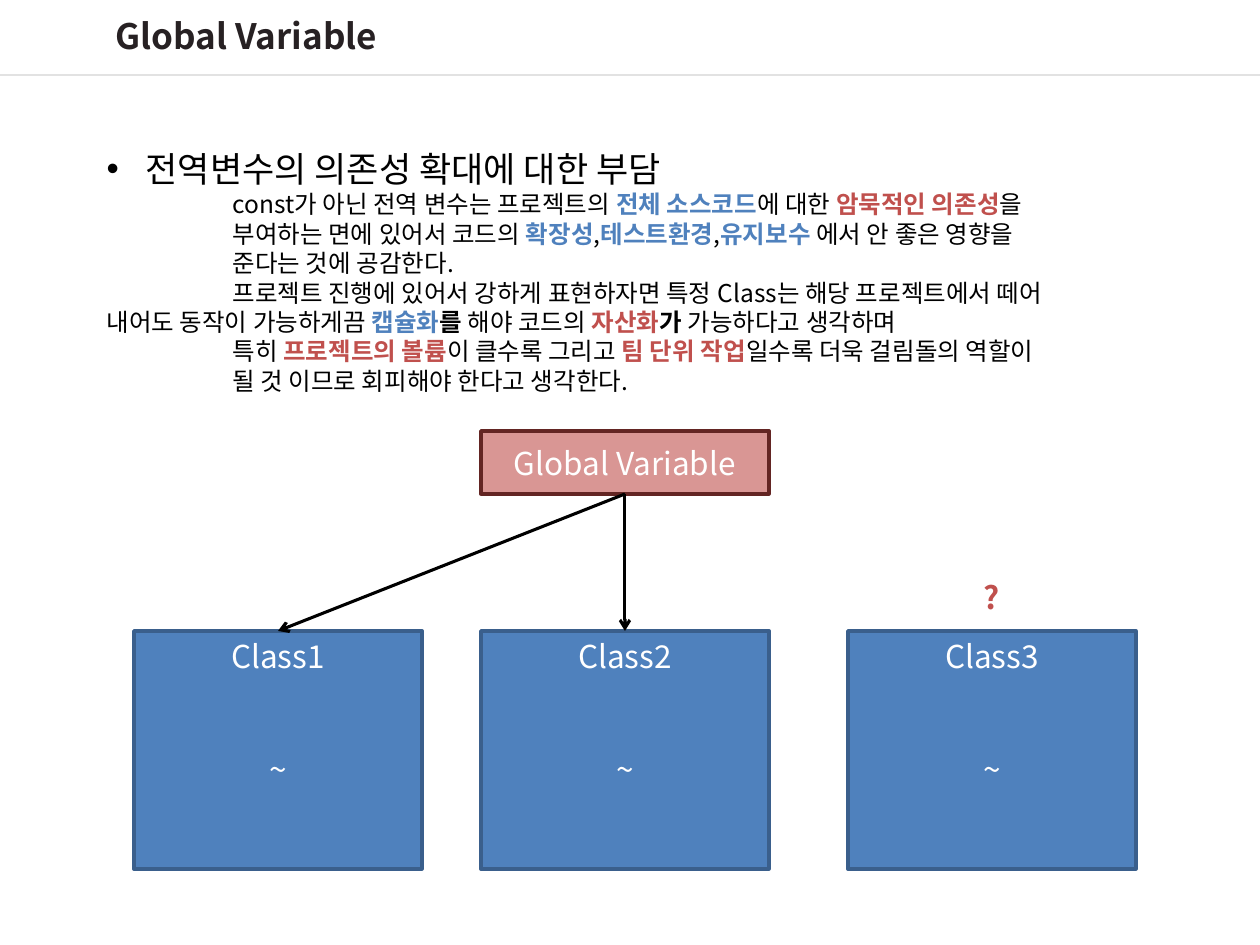
from lxml import etree
from pptx import Presentation
from pptx.dml.color import RGBColor
from pptx.enum.shapes import MSO_CONNECTOR, MSO_SHAPE
from pptx.enum.text import MSO_ANCHOR, MSO_AUTO_SIZE, PP_ALIGN
from pptx.oxml.ns import qn
from pptx.util import Pt

PX = 914400 // 126
FONT = "Noto Sans CJK KR"
LINE, RECT = MSO_CONNECTOR.STRAIGHT, MSO_SHAPE.RECTANGLE
TOP, MIDDLE = MSO_ANCHOR.TOP, MSO_ANCHOR.MIDDLE
CENTER, LEFT = PP_ALIGN.CENTER, PP_ALIGN.LEFT
FIXED = MSO_AUTO_SIZE.NONE
HEX = {
    "title": "272123", "text": "000000", "white": "FFFFFF", "rule": "A6A6A6",
    "blue": "4F81BD", "navy": "3A5F8C", "red": "C0504D",
    "pink": "D99694", "wine": "632523",
}
INK = {key: RGBColor.from_string(val) for key, val in HEX.items()}


def style(para, size, inks, align=LEFT, bold=False):
    """Format a paragraph; inks gives one colour per run."""
    para.alignment = align
    para.line_spacing = Pt(size * 1.2)
    para.space_before = para.space_after = Pt(0)
    for run, ink in zip(para.runs, inks):
        run.font.size = Pt(size)
        run.font.bold = bold or ink in ("blue", "red")
        run.font.color.rgb = INK[ink]
        run.font.name = FONT
        etree.SubElement(run.font._element, qn("a:ea"), typeface=FONT)


def link(start, end, ink, width):
    """Draw a plain line between two points."""
    line = slide.shapes.add_connector(LINE, *[v * PX for v in start + end])
    line.line.color.rgb = INK[ink]
    line.line.width = Pt(width)
    etree.SubElement(line._element.spPr, qn("a:effectLst"))
    return line


prs = Presentation()
prs.slide_width, prs.slide_height = 1260 * PX, 945 * PX
slide = prs.slides.add_slide(prs.slide_layouts[1])
title, body = slide.placeholders

# Header rule, half transparent
rule = link((-74, 75), (1376, 75), "rule", 0.75)
tint = rule._element.spPr.find(".//" + qn("a:srgbClr"))
etree.SubElement(tint, qn("a:alpha"), val="50000")

# Title and body frames
for box, area in ((title, (-30, 8, 553, 55)), (body, (94, 141, 1071, 263))):
    box.left, box.top, box.width, box.height = [v * PX for v in area]
    box.text_frame.auto_size = FIXED
    box.text_frame.vertical_anchor = TOP
title.text_frame.text = "Global Variable"
style(title.text_frame.paragraphs[0], 20, ["title"], CENTER, True)

# Body: each line has a first-line indent and coloured pieces
lines = [
    (126, [("const가 아닌 전역 변수는 프로젝트의 ", "text"), ("전체 소스코드", "blue"),
           ("에 대한 ", "text"), ("암묵적인 의존성", "red"), ("을", "text")]),
    (126, [("부여하는 면에 있어서 코드의 ", "text"), ("확장성", "blue"), (",", "text"),
           ("테스트환경", "blue"), (",", "text"), ("유지보수 ", "blue"),
           ("에서 안 좋은 영향을", "text")]),
    (126, [("준다는 것에 공감한다.", "text")]),
    (126, [("프로젝트 진행에 있어서 강하게 표현하자면 특정 Class는 "
            "해당 프로젝트에서 떼어", "text")]),
    (0, [("내어도 동작이 가능하게끔 ", "text"), ("캡슐화", "blue"), ("를", "text"),
         (" 해야 코드의 ", "text"), ("자산화", "red"), ("가", "text"),
         (" 가능하다고 생각하며", "text")]),
    (126, [("특히 ", "text"), ("프로젝트의 볼륨", "red"), ("이 클수록 그리고 ", "text"),
           ("팀 단위 작업", "red"), ("일수록 더욱 걸림돌의 역할이", "text")]),
    (126, [("될 것 이므로 회피해야 한다고 생각한다.", "text")]),
]
frame = body.text_frame
frame.text = "전역변수의 의존성 확대에 대한 부담"
head = frame.paragraphs[0]
style(head, 20, ["text"])
props = head._p.get_or_add_pPr()
props.set("marL", str(39 * PX))
props.set("indent", str(-39 * PX))
etree.SubElement(props, qn("a:buFont"), typeface="Arial")
etree.SubElement(props, qn("a:buChar"), char="•")
for indent, parts in lines:
    para = frame.add_paragraph()
    for text, ink in parts:
        para.add_run().text = text
    style(para, 14, [ink for text, ink in parts])
    for run, (text, ink) in zip(para.runs, parts):
        if text in ("를", "가"):
            run.font.bold = True
    props = para._p.get_or_add_pPr()
    props.set("marL", "0")
    props.set("indent", str(indent * PX))
    etree.SubElement(props, qn("a:buNone"))

# Boxes: three classes and the global variable
boxes = {}
for name, text, left, top, high, fill, edge, anchor in (
    ("one", "Class1\n~", 134, 631, 238, "blue", "navy", TOP),
    ("two", "Class2\n~", 481, 631, 238, "blue", "navy", TOP),
    ("three", "Class3\n~", 848, 631, 238, "blue", "navy", TOP),
    ("global", "Global Variable", 481, 431, 63, "pink", "wine", MIDDLE),
):
    box = slide.shapes.add_shape(RECT, left * PX, top * PX, 288 * PX, high * PX)
    box.shadow.inherit = False
    box.fill.solid()
    box.fill.fore_color.rgb = INK[fill]
    box.line.color.rgb = INK[edge]
    box.line.width = Pt(2)
    box.text_frame.text = text
    box.text_frame.vertical_anchor = anchor
    for para in box.text_frame.paragraphs:
        style(para, 18, ["white"], CENTER)
        if para.text == "~":
            para.space_before = Pt(43)
    boxes[name] = box

# Arrows from the global variable to its users
for name in ("one", "two"):
    arrow = link((625, 494), (625, 631), "text", 1.75)
    arrow.begin_connect(boxes["global"], 2)
    arrow.end_connect(boxes[name], 0)
    etree.SubElement(arrow.line._get_or_add_ln(), qn("a:tailEnd"), type="arrow")

# Question mark above Class3
mark = slide.shapes.add_textbox(971 * PX, 572 * PX, 48 * PX, 50 * PX)
mark.text_frame.text = "?"
style(mark.text_frame.paragraphs[0], 18, ["red"])

prs.save("out.pptx")
